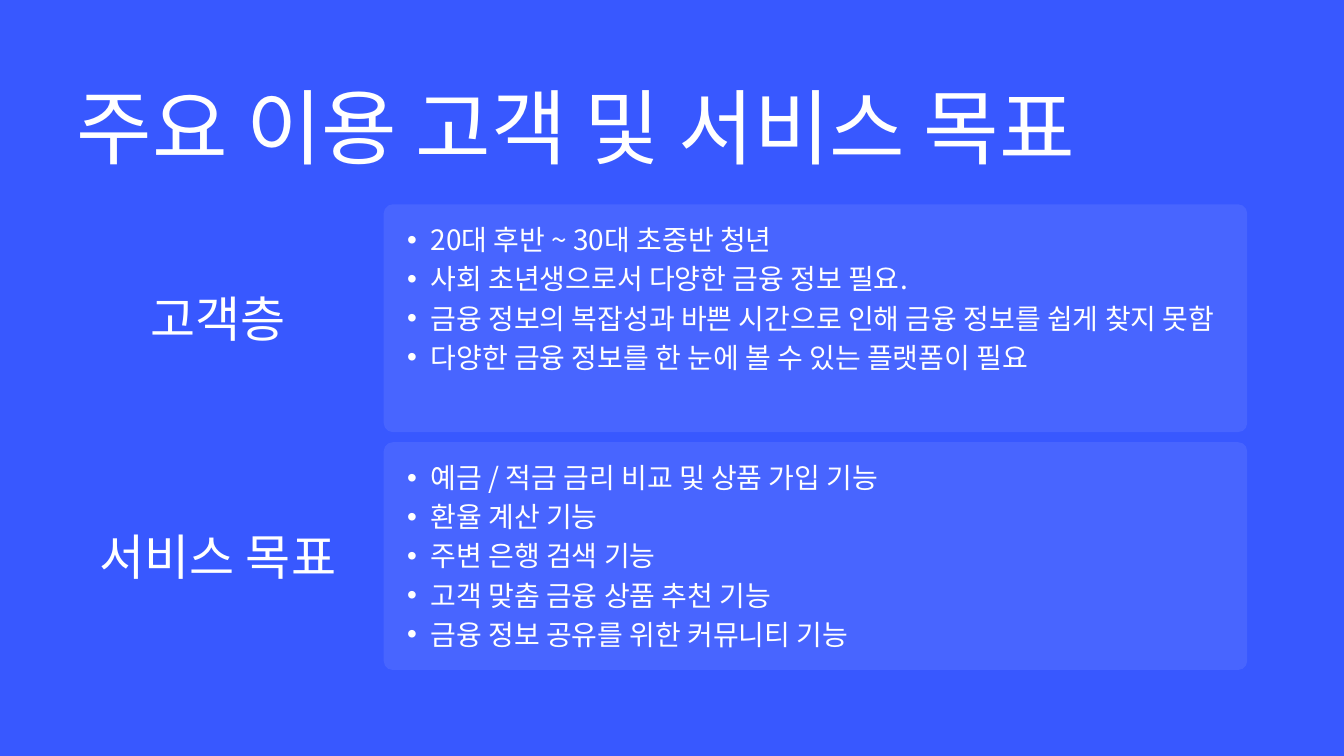
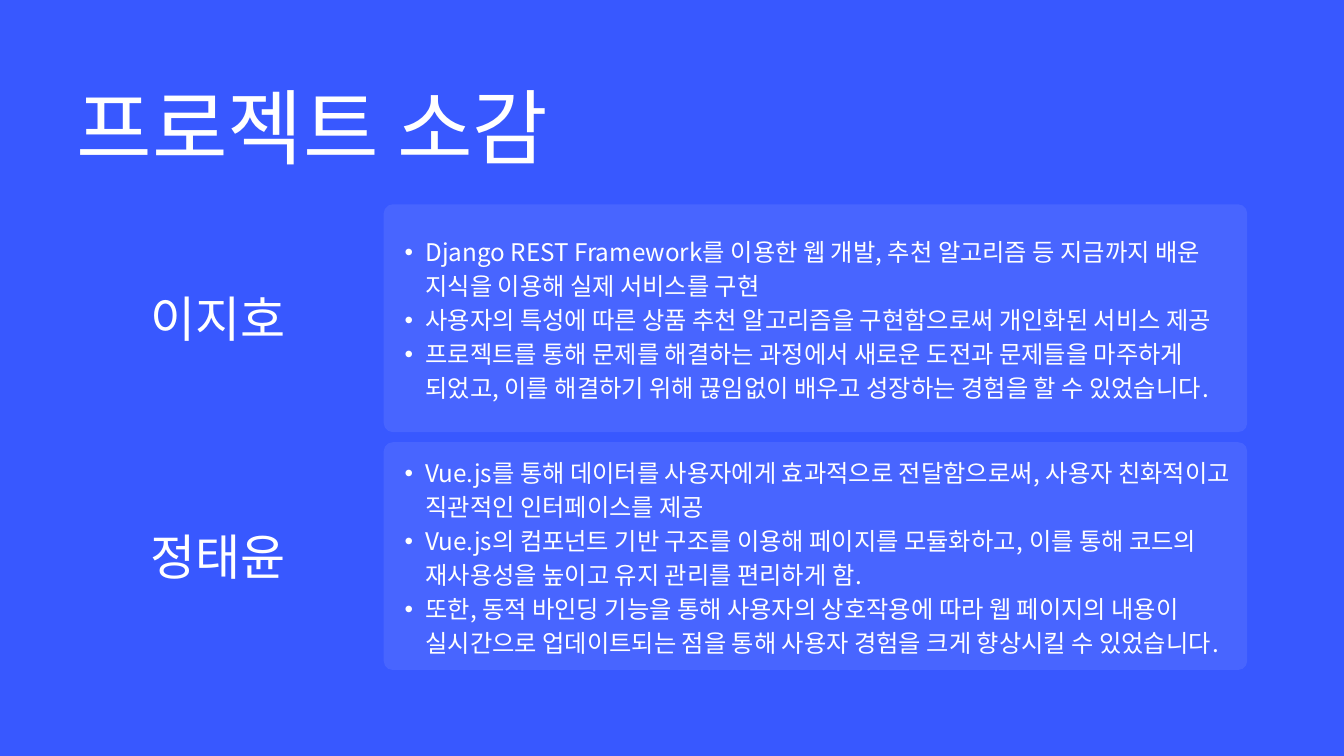
"""Build two slides that pair topic labels with bulleted panels."""
from dataclasses import dataclass
from typing import Any

import lxml.etree
import pptx
import pptx.dml.color
import pptx.enum.shapes
import pptx.enum.text
import pptx.oxml.ns
import pptx.util

Inches = pptx.util.Inches
Pt = pptx.util.Pt
ALIGN = pptx.enum.text.PP_ALIGN

BACKGROUND = "3858FF"
PANEL = "6D85FF"
WHITE = "FFFFFF"
HEAD_FONT = "Calibri"
LIST_FONT = "Noto Sans CJK KR"
TWO_CONTENT = 3

PANEL_LEFT, PANEL_TOP = 5.71, 3.04
PANEL_WIDTH, PANEL_HEIGHT = 12.85, 3.39
PANEL_PITCH = 3.54
LABEL_OFFSET = 1.25


@dataclass(frozen=True)
class Bullet:
    text: str
    font: str = LIST_FONT


@dataclass(frozen=True)
class Topic:
    label: str
    offset: float
    width: float
    height: float
    bullets: tuple[Bullet, ...]


@dataclass(frozen=True)
class Page:
    title: str
    title_width: float
    size: float
    spacing: float
    indent: float
    topics: tuple[Topic, ...]


PAGES = (
    Page("주요 이용 고객 및 서비스 목표", 16.59, 30, 42, 0.35, (
        Topic("고객층", 0.19, 12.72, 2.84, (
            Bullet("20대 후반 ~ 30대 초중반 청년"),
            Bullet("사회 초년생으로서 다양한 금융 정보 필요."),
            Bullet("금융 정보의 복잡성과 바쁜 시간으로 인해 금융 정보를 쉽게 찾지 못함", HEAD_FONT),
            Bullet("다양한 금융 정보를 한 눈에 볼 수 있는 플랫폼이 필요", HEAD_FONT),
        )),
        Topic("서비스 목표", 0.19, 12.47, 3.53, (
            Bullet("예금 / 적금 금리 비교 및 상품 가입 기능"),
            Bullet("환율 계산 기능"),
            Bullet("주변 은행 검색 기능"),
            Bullet("고객 맞춤 금융 상품 추천 기능"),
            Bullet("금융 정보 공유를 위한 커뮤니티 기능"),
        )),
    )),
    Page("프로젝트 소감", 8.37, 26, 36.4, 0.31, (
        Topic("이지호", 0.42, 12.62, 2.49, (
            Bullet("Django REST Framework를 이용한 웹 개발, 추천 알고리즘 등 지금까지 배운 "
                   "지식을 이용해 실제 서비스를 구현"),
            Bullet("사용자의 특성에 따른 상품 추천 알고리즘을 구현함으로써 개인화된 서비스 제공", HEAD_FONT),
            Bullet("프로젝트를 통해 문제를 해결하는 과정에서 새로운 도전과 문제들을 마주하게 "
                   "되었고, 이를 해결하기 위해 끊임없이 배우고 성장하는 경험을 할 수 있었습니다."),
        )),
        Topic("정태윤", 0.17, 12.62, 2.99, (
            Bullet("Vue.js를 통해 데이터를 사용자에게 효과적으로 전달함으로써, 사용자 "
                   "친화적이고 직관적인 인터페이스를 제공"),
            Bullet("Vue.js의 컴포넌트 기반 구조를 이용해 페이지를 모듈화하고, 이를 통해 코드의 "
                   "재사용성을 높이고 유지 관리를 편리하게 함."),
            Bullet("또한, 동적 바인딩 기능을 통해 사용자의 상호작용에 따라 웹 페이지의 내용이 "
                   "실시간으로 업데이트되는 점을 통해 사용자 경험을 크게 향상시킬 수 있었습니다."),
        )),
    )),
)


def color(value: str) -> pptx.dml.color.RGBColor:
    return pptx.dml.color.RGBColor.from_string(value)


def sub(parent: Any, tag: str, **attrs: str) -> Any:
    return lxml.etree.SubElement(parent, pptx.oxml.ns.qn(tag), **attrs)


def place(sp: Any, left: float, top: float, width: float, height: float) -> Any:
    sp.left, sp.top = Inches(left), Inches(top)
    sp.width, sp.height = Inches(width), Inches(height)
    tf = sp.text_frame
    tf.margin_left = tf.margin_top = tf.margin_right = tf.margin_bottom = 0
    tf.word_wrap = True
    tf.auto_size = pptx.enum.text.MSO_AUTO_SIZE.NONE
    tf.vertical_anchor = pptx.enum.text.MSO_ANCHOR.TOP
    return tf


def write(p: Any, text: str, *, size: float, spacing: float, font: str = HEAD_FONT,
          align: Any = ALIGN.LEFT, indent: float = 0) -> None:
    if indent:
        p.level = 1
        pPr = p._p.get_or_add_pPr()
        pPr.set("marL", str(Inches(2 * indent)))
        pPr.set("indent", str(-Inches(indent)))
        sub(pPr, "a:buFont", typeface="Arial")
        sub(pPr, "a:buChar", char="•")
    p.alignment = align
    p.line_spacing = Pt(spacing)
    p.space_before = p.space_after = Pt(0)
    r = p.add_run()
    r.text = text
    r.font.size = Pt(size)
    r.font.color.rgb = color(WHITE)
    r.font.name = font
    sub(r._r.get_or_add_rPr(), "a:ea", typeface=LIST_FONT)


def add_panel(slide: Any, top: float) -> None:
    sp = slide.shapes.add_shape(
        pptx.enum.shapes.MSO_SHAPE.ROUNDED_RECTANGLE, Inches(PANEL_LEFT), Inches(top),
        Inches(PANEL_WIDTH), Inches(PANEL_HEIGHT))
    sp.adjustments[0] = 0.04
    sp.shadow.inherit = False
    sp.fill.solid()
    sp.fill.fore_color.rgb = color(PANEL)
    sub(sp.fill._xPr.find(".//" + pptx.oxml.ns.qn("a:srgbClr")), "a:alpha", val="30000")
    sp.line.fill.background()
    slide.shapes._spTree.insert(2, sp._element)


def add_topic(slide: Any, body: Any, topic: Topic, page: Page, top: float) -> None:
    add_panel(slide, top)
    label = slide.shapes.add_textbox(0, 0, 0, 0)
    tf = place(label, 1.16, top + LABEL_OFFSET, 4.17, 0.87)
    write(tf.paragraphs[0], topic.label, size=52.5, spacing=63, align=ALIGN.CENTER)
    tf = place(body, PANEL_LEFT, top + topic.offset, topic.width, topic.height)
    for i, bullet in enumerate(topic.bullets):
        p = tf.add_paragraph() if i else tf.paragraphs[0]
        write(p, bullet.text, size=page.size, spacing=page.spacing,
              font=bullet.font, indent=page.indent)


def add_page(prs: Any, page: Page) -> None:
    slide = prs.slides.add_slide(prs.slide_layouts[TWO_CONTENT])
    title, *bodies = slide.placeholders
    tf = place(title, 1.14, 1.02, page.title_width, 1.57)
    write(tf.paragraphs[0], page.title, size=88, spacing=114.4)
    for i, (body, topic) in enumerate(zip(bodies, page.topics)):
        add_topic(slide, body, topic, page, PANEL_TOP + i * PANEL_PITCH)


def main() -> None:
    prs = pptx.Presentation()
    prs.slide_width, prs.slide_height = Inches(20), Inches(11.25)
    fill = prs.slide_master.background.fill
    fill.solid()
    fill.fore_color.rgb = color(BACKGROUND)
    for page in PAGES:
        add_page(prs, page)
    prs.save("out.pptx")


if __name__ == "__main__":
    main()
